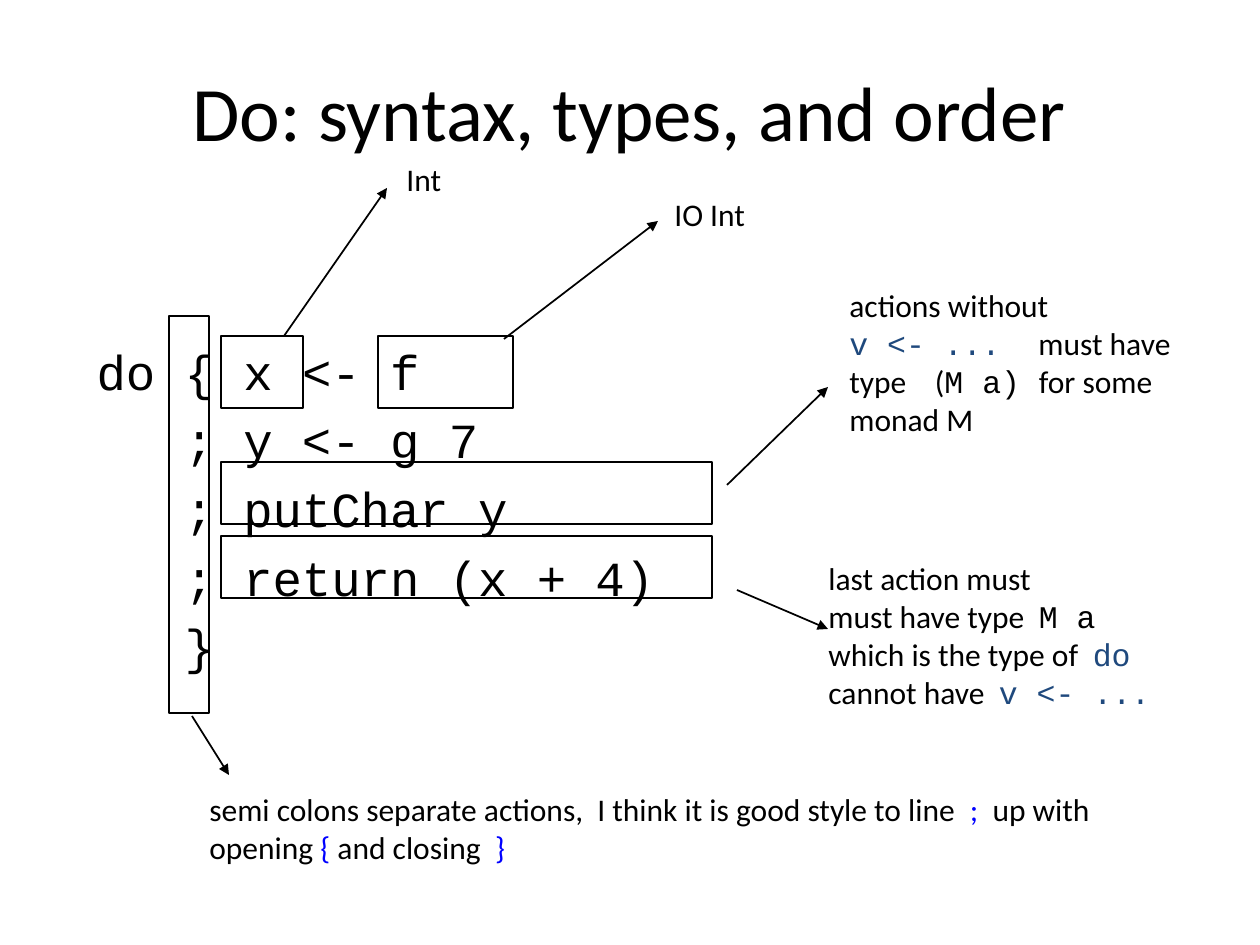
"""Build a slide that annotates the syntax, types and order of a do block."""
from dataclasses import dataclass

from pptx import Presentation
from pptx.dml.color import RGBColor as Color
from pptx.enum.shapes import MSO_CONNECTOR as Connector, MSO_SHAPE as Preset
from pptx.enum.text import MSO_AUTO_SIZE as AutoSize, PP_ALIGN as Align
from pptx.oxml.ns import qn
from pptx.util import Emu, Pt

EMU_PER_PIXEL = 914400 / 126


@dataclass(frozen=True)
class Theme:
    """Colours, fonts and type sizes of the slide."""

    ink: str = "000000"
    paper: str = "FFFFFF"
    keyword: str = "1F497D"
    symbol: str = "0000FF"
    sans: str = "Calibri"
    mono: str = "Courier New"
    title: int = 44
    code: int = 28
    note: int = 18
    line: int = 1


THEME = Theme()
MONO = {"font": THEME.mono}
KEYWORD = {"font": THEME.mono, "color": THEME.keyword}
SYMBOL = {"color": THEME.symbol}


def px(pixels):
    """Turn whole pixels into EMU."""
    return Emu(round(pixels * EMU_PER_PIXEL))


def add_text(paragraph, text, size=THEME.note, font=THEME.sans, color=THEME.ink):
    """Append one formatted run to a paragraph."""
    run = paragraph.add_run()
    run.text = text
    run.font.size = Pt(size)
    run.font.name = font
    run.font.color.rgb = Color.from_string(color)


def next_paragraph(frame, index):
    """Return the first paragraph of a frame, or a new one after it."""
    return frame.add_paragraph() if index else frame.paragraphs[0]


def place(shape, left, top, width, height):
    """Move and size a shape in pixels."""
    shape.left, shape.top = px(left), px(top)
    shape.width, shape.height = px(width), px(height)


def bring_to_front(shape):
    """Draw a shape above those added before it."""
    shape.element.getparent().append(shape.element)


def style_line(line):
    """Give a line the ink colour and the standard width."""
    line.color.rgb = Color.from_string(THEME.ink)
    line.width = Pt(THEME.line)


def add_frame(slide, *box):
    """Add a plain outlined rectangle."""
    shape = slide.shapes.add_shape(Preset.RECTANGLE, *map(px, box))
    shape.shadow.inherit = False
    shape.fill.solid()
    shape.fill.fore_color.rgb = Color.from_string(THEME.paper)
    style_line(shape.line)


def add_arrow(slide, *ends):
    """Add a straight arrow that points at its second end."""
    arrow = slide.shapes.add_connector(Connector.STRAIGHT, *map(px, ends))
    style_line(arrow.line)
    properties = arrow.element.spPr
    head = properties.find(qn("a:ln")).makeelement(qn("a:tailEnd"), {"type": "triangle"})
    properties.find(qn("a:ln")).append(head)
    properties.append(properties.makeelement(qn("a:effectLst"), {}))


def add_note(slide, box, lines, wrap=False):
    """Add a text box whose lines are lists of (text, format) pairs."""
    frame = slide.shapes.add_textbox(*map(px, box)).text_frame
    frame.word_wrap = wrap
    frame.auto_size = AutoSize.SHAPE_TO_FIT_TEXT
    for index, line in enumerate(lines):
        paragraph = next_paragraph(frame, index)
        for text, style in line:
            add_text(paragraph, text, **style)


def fill_title(slide, text):
    """Place and fill the title placeholder."""
    title = slide.shapes.title
    place(title, 94, 32, 1071, 158)
    paragraph = title.text_frame.paragraphs[0]
    paragraph.alignment = Align.CENTER
    add_text(paragraph, text, size=THEME.title)
    bring_to_front(title)


def fill_code(slide, lines):
    """Place and fill the body placeholder, lining up all lines after the first."""
    body = slide.placeholders[1]
    place(body, 84, 335, 1124, 338)
    body.text_frame.auto_size = AutoSize.NONE
    for index, text in enumerate(lines):
        paragraph = next_paragraph(body.text_frame, index)
        properties = paragraph._p.get_or_add_pPr()
        properties.set("marL", str(px(88 if index else 0)))
        properties.set("indent", "0")
        properties.append(properties.makeelement(qn("a:buNone"), {}))
        add_text(paragraph, text, size=THEME.code, font=THEME.mono)
    bring_to_front(body)


def main():
    """Build and save the slide."""
    presentation = Presentation()
    presentation.slide_width, presentation.slide_height = px(1260), px(945)
    slide = presentation.slides.add_slide(presentation.slide_layouts[1])

    for box in (
        (221, 536, 491, 62),
        (221, 462, 491, 62),
        (169, 316, 40, 397),
        (221, 336, 82, 72),
        (378, 336, 135, 72),
    ):
        add_frame(slide, *box)

    fill_title(slide, "Do: syntax, types, and order")
    for ends in (
        (504, 339, 658, 221),
        (284, 336, 387, 188),
        (192, 716, 229, 775),
        (737, 590, 828, 629),
        (727, 485, 828, 387),
    ):
        add_arrow(slide, *ends)

    add_note(slide, (662, 189, 106, 50), [[("IO Int", {})]])
    add_note(slide, (394, 154, 67, 50), [[("Int", {})]], wrap=True)
    add_note(slide, (197, 784, 916, 88), [
        [("semi colons separate actions,  I think it is good style to line ", {}),
         (" ;  ", SYMBOL), ("up with ", {})],
        [("opening", {}), (" {", SYMBOL), (" and closing  ", {}), ("}", SYMBOL)],
    ])
    add_note(slide, (816, 553, 379, 164), [
        [("last action must  ", {})],
        [("must have type  ", {}), ("M a ", MONO)],
        [("which is the type of  ", {}), ("do", KEYWORD)],
        [("cannot have  ", {}), ("v <- ...", KEYWORD)],
    ], wrap=True)
    add_note(slide, (837, 280, 357, 165), [
        [("actions without ", {})],
        [("v <- ...  ", KEYWORD), ("must have ", {})],
        [("type    (", {}), ("M a) ", MONO), ("for some ", {})],
        [("monad M", {})],
    ])
    fill_code(slide, (
        "do { x <- f ", "; y <- g 7", "; putChar y", "; return (x + 4)", "}",
    ))
    presentation.save("out.pptx")


main()
